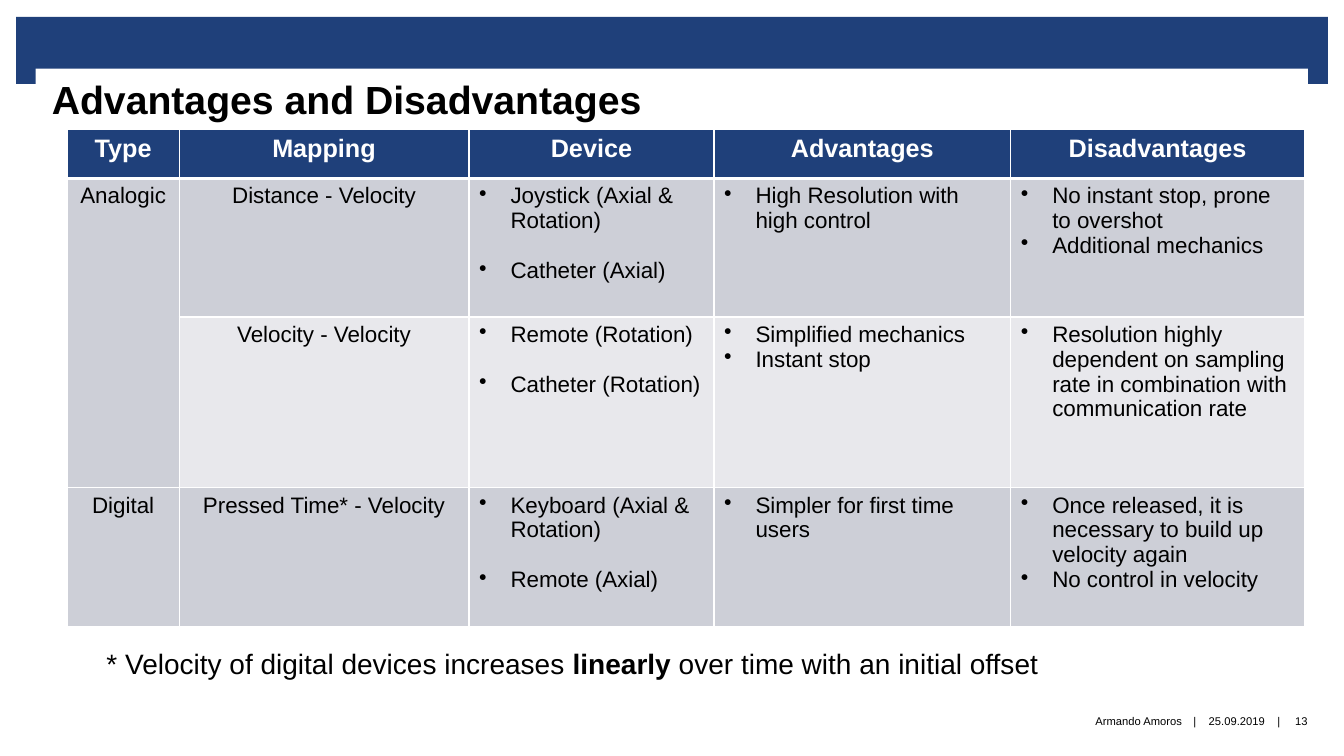
from collections import namedtuple
from dataclasses import dataclass

from lxml import etree
from pptx import Presentation
from pptx import util as u
from pptx.dml import color
from pptx.enum import shapes, text
from pptx.oxml import ns

Box = namedtuple("Box", "left top width height")


@dataclass(frozen=True)
class Theme:
    font: str = "Arial"
    navy: str = "1F407A"
    white: str = "FFFFFF"
    black: str = "000000"
    dark_row: str = "CDCFD7"
    light_row: str = "E8E8EC"
    title: int = 28
    note: int = 20
    header: int = 18
    cell: int = 16
    footer: int = 8


THEME = Theme()
ALIGN = text.PP_ALIGN
COLUMNS = {"Type": 80, "Mapping": 207, "Device": 175, "Advantages": 212, "Disadvantages": 210}
ROW_HEIGHTS = [35, 99, 122, 99]
ROW_FILLS = [THEME.navy, THEME.dark_row, THEME.light_row, THEME.dark_row]
DEVICE_COLUMN = list(COLUMNS).index("Device")
DEVICE_GAP = 18
BULLET_INDENT = 22.5
# Strings are centred labels, lists are bullets, None continues the cell above.
ROWS = [
    ["Analogic", "Distance - Velocity",
     ["Joystick (Axial & Rotation)", "Catheter (Axial)"],
     ["High Resolution with high control"],
     ["No instant stop, prone to overshot", "Additional mechanics"]],
    [None, "Velocity - Velocity",
     ["Remote (Rotation)", "Catheter (Rotation)"],
     ["Simplified mechanics", "Instant stop"],
     ["Resolution highly dependent on sampling rate in combination with communication rate"]],
    ["Digital", "Pressed Time* - Velocity",
     ["Keyboard (Axial & Rotation)", "Remote (Axial)"],
     ["Simpler for first time users"],
     ["Once released, it is necessary to build up velocity again", "No control in velocity"]],
]


def apply(target, values):
    for name, value in values.items():
        setattr(target, name, value)


def points(values):
    return {name: u.Pt(value) for name, value in values.items()}


def paint(fill, rgb):
    fill.solid()
    fill.fore_color.rgb = color.RGBColor.from_string(rgb)


def write(para, words, size, rgb=THEME.black, bold=False):
    span = para.add_run()
    span.text = words
    apply(span.font, {"name": THEME.font, "size": u.Pt(size), "bold": bold})
    span.font.color.rgb = color.RGBColor.from_string(rgb)


def set_bullet(para, char=None, indent=0):
    """Give the paragraph a hanging bullet, or remove any inherited one."""
    props = para._p.get_or_add_pPr()
    props.set("marL", str(u.Pt(indent)))
    props.set("indent", str(-u.Pt(indent)))
    bullet = etree.SubElement(props, ns.qn("a:buChar" if char else "a:buNone"))
    if char:
        bullet.set("char", char)


def set_frame(frame, anchor, margins):
    apply(frame, {"word_wrap": True, "auto_size": text.MSO_AUTO_SIZE.NONE,
                  "vertical_anchor": anchor})
    names = ("margin_left", "margin_top", "margin_right", "margin_bottom")
    apply(frame, points(dict(zip(names, margins))))


def set_borders(cell, widths):
    """Draw white edges; widths run left, right, top, bottom."""
    props = cell._tc.get_or_add_tcPr()
    for place, (side, width) in enumerate(zip("LRTB", widths)):
        line = etree.Element(ns.qn(f"a:ln{side}"), w=str(u.Pt(width)))
        fill = etree.SubElement(line, ns.qn("a:solidFill"))
        etree.SubElement(fill, ns.qn("a:srgbClr"), val=THEME.white)
        props.insert(place, line)


def add_banner(page, box):
    tab_width, bar_height = 14, 37
    tab_top = box.top + bar_height - 2
    tab_height = box.top + box.height - tab_top
    for part in (
        Box(box.left, box.top, box.width, bar_height),
        Box(box.left, tab_top, tab_width, tab_height),
        Box(box.left + box.width - tab_width, tab_top, tab_width, tab_height),
    ):
        shape = page.shapes.add_shape(shapes.MSO_SHAPE.RECTANGLE, *map(u.Pt, part))
        shape.shadow.inherit = False
        paint(shape.fill, THEME.navy)
        shape.line.fill.background()


def fill_title(page, box):
    title = page.shapes.title
    apply(title, points(box._asdict()))
    paint(title.fill, THEME.white)
    set_frame(title.text_frame, text.MSO_ANCHOR.TOP, (11.5, 4.5, 11.5, 0))
    para = title.text_frame.paragraphs[0]
    para.alignment = ALIGN.LEFT
    write(para, "Advantages and Disadvantages", THEME.title, bold=True)


def fill_note(page, box):
    note = page.placeholders[1]
    apply(note, points(box._asdict()))
    set_frame(note.text_frame, text.MSO_ANCHOR.TOP, (11, 0, 11.5, 0))
    para = note.text_frame.paragraphs[0]
    set_bullet(para)
    para.space_before = u.Pt(0)
    write(para, "* Velocity of digital devices increases ", THEME.note)
    write(para, "linearly", THEME.note, bold=True)
    write(para, " over time with an initial offset", THEME.note)


def fill_label(cell, words, **style):
    para = cell.text_frame.paragraphs[0]
    para.alignment = ALIGN.CENTER
    write(para, words, **style)


def fill_bullets(cell, items, gap):
    frame = cell.text_frame
    for index, item in enumerate(items):
        para = frame.add_paragraph() if index else frame.paragraphs[0]
        set_bullet(para, "•", BULLET_INDENT)
        if index:
            para.space_before = u.Pt(gap)
        write(para, item, THEME.cell)


def add_comparison(page, box):
    rows = [list(COLUMNS)] + ROWS
    table = page.shapes.add_table(len(rows), len(COLUMNS), *map(u.Pt, box)).table
    for column, width in zip(table.columns, COLUMNS.values()):
        column.width = u.Pt(width)
    for r, (values, height, rgb) in enumerate(zip(rows, ROW_HEIGHTS, ROW_FILLS)):
        table.rows[r].height = u.Pt(height)
        for c, value in enumerate(values):
            cell = table.cell(r, c)
            paint(cell.fill, THEME.dark_row if value is None else rgb)
            set_borders(cell, (1, 1, 3 if r == 1 else 1, 3 if r == 0 else 1))
            if value is None:
                table.cell(r - 1, c).merge(cell)
            elif r == 0:
                fill_label(cell, value, size=THEME.header, rgb=THEME.white, bold=True)
            elif isinstance(value, str):
                fill_label(cell, value, size=THEME.cell)
            else:
                fill_bullets(cell, value, DEVICE_GAP if c == DEVICE_COLUMN else 0)


def add_footer(page, box):
    """Set author, date and page number against the right edge of the box."""
    right = box.left + box.width
    for words, offset, width, align in (
        ("Armando Amoros", 464, 365, ALIGN.RIGHT),
        ("|", 95, 10, ALIGN.CENTER),
        ("25.09.2019", 84, 48, ALIGN.CENTER),
        ("|", 35, 10, ALIGN.CENTER),
        ("13", 28, 28, ALIGN.CENTER),
    ):
        label = page.shapes.add_textbox(
            *map(u.Pt, (right - offset, box.top, width, box.height)))
        set_frame(label.text_frame, text.MSO_ANCHOR.MIDDLE, (0, 0, 0, 0))
        para = label.text_frame.paragraphs[0]
        para.alignment = align
        write(para, words, THEME.footer)


def add_comparison_page(deck):
    page = deck.slides.add_slide(deck.slide_layouts[1])
    add_banner(page, Box(11.5, 12, 937, 48))
    fill_title(page, Box(25.5, 49, 908.5, 76))
    fill_note(page, Box(65, 462, 780, 42))
    add_comparison(page, Box(48, 92.5, sum(COLUMNS.values()), sum(ROW_HEIGHTS)))
    add_footer(page, Box(25.5, 497, 918, 36))


def main():
    deck = Presentation()
    apply(deck, points({"slide_width": 960, "slide_height": 540}))
    add_comparison_page(deck)
    deck.save("out.pptx")


if __name__ == "__main__":
    main()
